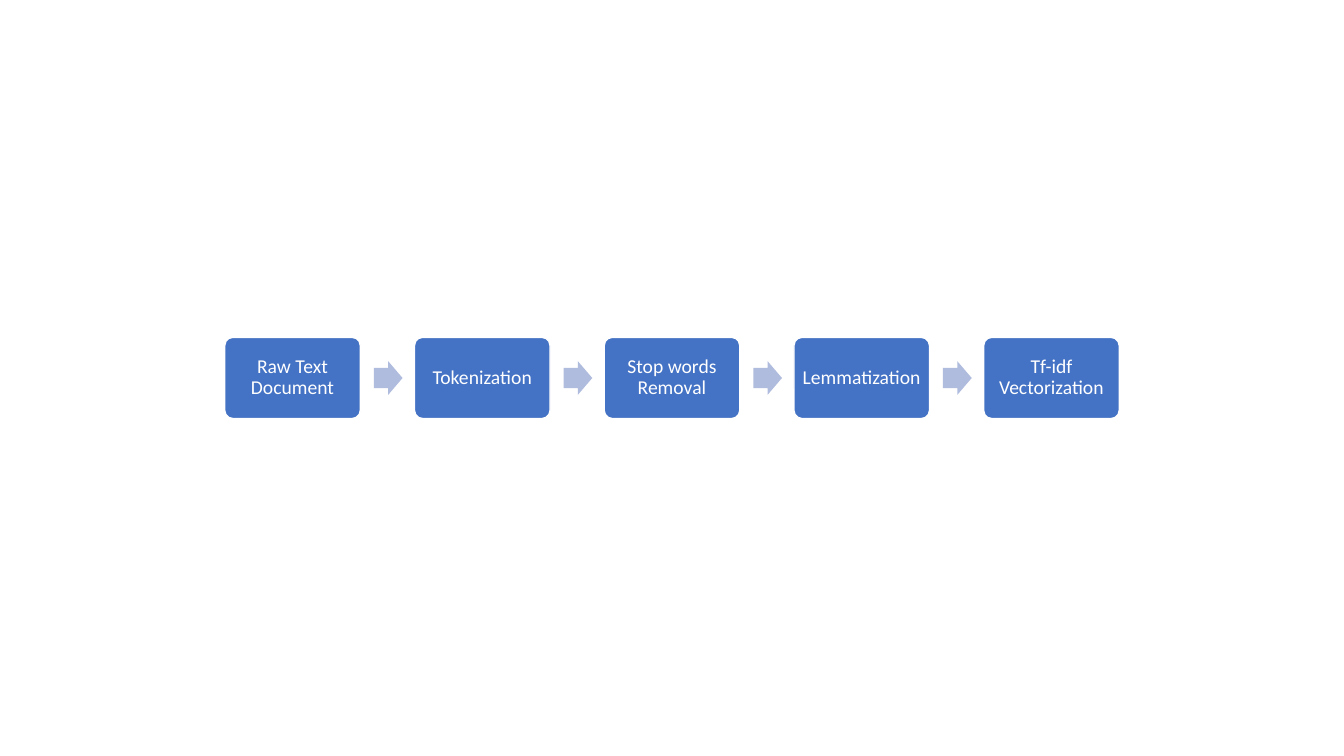
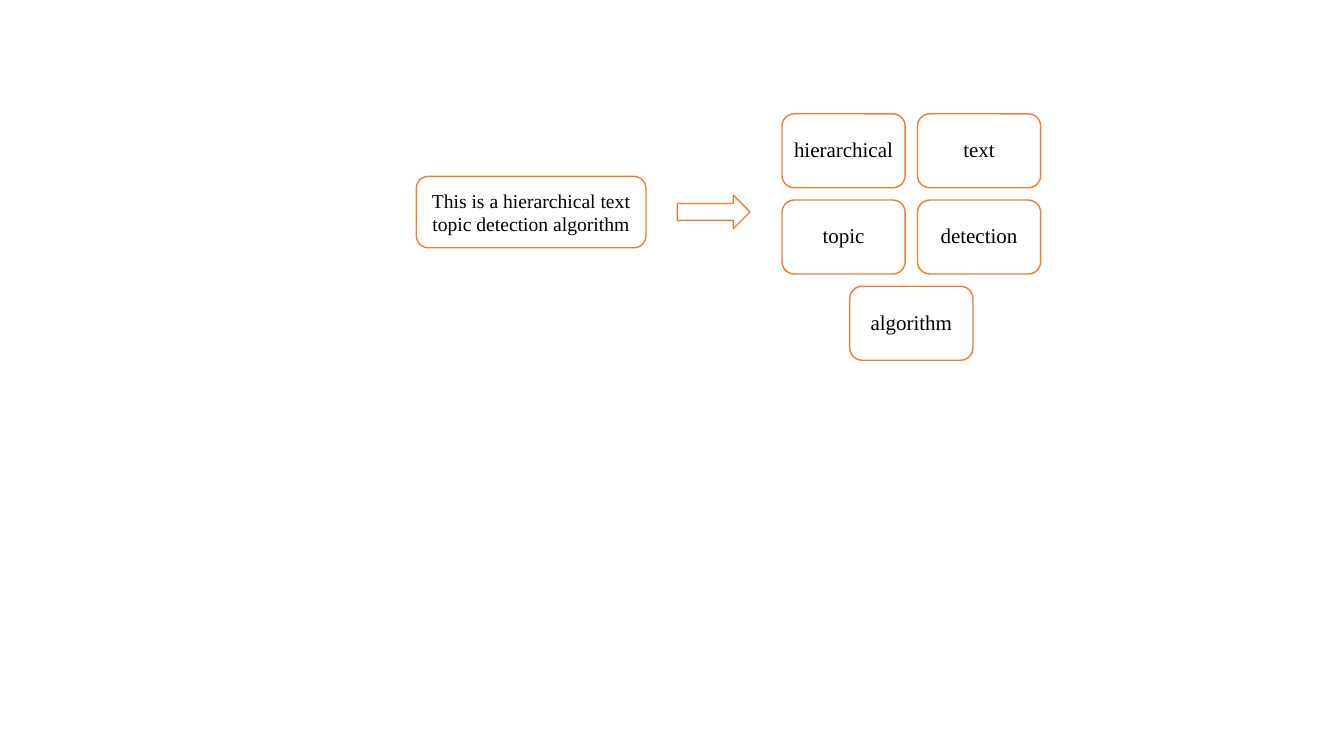
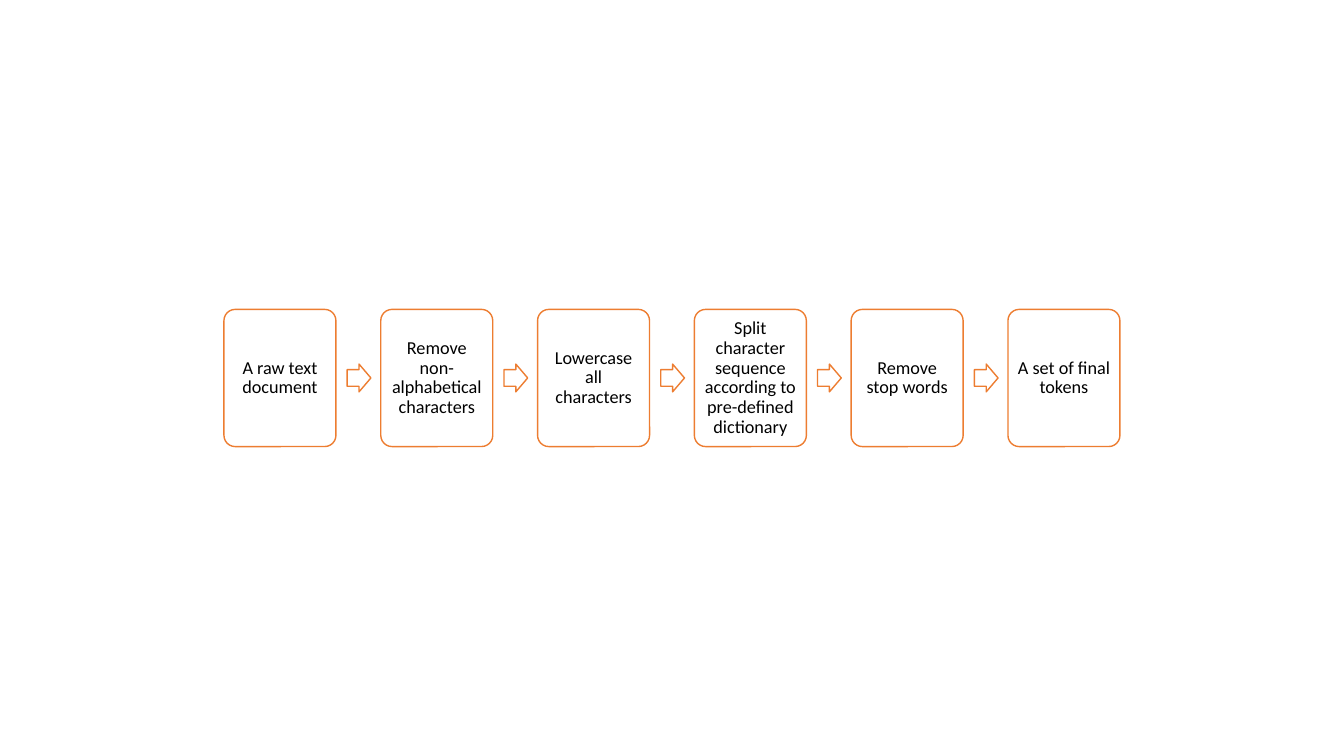
from pptx import Presentation
from pptx.dml.color import RGBColor
from pptx.enum.shapes import MSO_SHAPE as Shape
from pptx.enum.text import MSO_ANCHOR as Anchor, PP_ALIGN as Align
from pptx.util import Pt

WHITE = RGBColor(0xFF, 0xFF, 0xFF)
BLACK = RGBColor(0x00, 0x00, 0x00)
BLUE = RGBColor(0x44, 0x72, 0xC4)
PALE_BLUE = RGBColor(0xB0, 0xBC, 0xDE)
ORANGE = RGBColor(0xED, 0x7D, 0x31)

SLIDE_WIDTH, SLIDE_HEIGHT = 960, 540
GAP_RATIO = 0.1
STEP_RATIO = 1.4
ARROW_RATIOS = 0.212, 0.248

SOLID = {"fill": BLUE, "line": WHITE, "ink": WHITE,
         "arrow_fill": PALE_BLUE, "arrow_line": None}
OUTLINE = {"fill": WHITE, "line": ORANGE, "ink": BLACK,
           "arrow_fill": WHITE, "arrow_line": ORANGE}

PIPELINE = ["Raw Text Document", "Tokenization", "Stop words Removal",
            "Lemmatization", "Tf-idf Vectorization"]
SENTENCE = "This is a hierarchical text topic detection algorithm"
TOKEN_ROWS = [["hierarchical", "text"], ["topic", "detection"], ["algorithm"]]
TOKENIZING = ["A raw text document", "Remove non-alphabetical characters",
              "Lowercase all characters",
              "Split character sequence according to pre-defined dictionary",
              "Remove stop words", "A set of final tokens"]


class Deck:
    """Builds process diagrams on blank slides, with all lengths in points."""

    def __init__(self):
        self.presentation = Presentation()
        self.presentation.slide_width = Pt(SLIDE_WIDTH)
        self.presentation.slide_height = Pt(SLIDE_HEIGHT)

    def start(self, look, font, size):
        blank = self.presentation.slide_layouts[6]
        self.slide = self.presentation.slides.add_slide(blank)
        self.look, self.font, self.size = look, font, size

    def outline(self, kind, bounds, fill, line, adjustments):
        figure = self.slide.shapes.add_shape(kind, *map(Pt, bounds))
        figure.shadow.inherit = False
        figure.fill.solid()
        figure.fill.fore_color.rgb = fill
        if line is None:
            figure.line.fill.background()
        else:
            figure.line.color.rgb = line
            figure.line.width = Pt(1)
        for index, ratio in enumerate(adjustments):
            figure.adjustments[index] = ratio
        return figure

    def box(self, text, bounds, corner=0.1667, insets=(4.2, 4.2),
            spacing=0.9, size=None):
        card = self.outline(Shape.ROUNDED_RECTANGLE, bounds,
                            self.look["fill"], self.look["line"], [corner])
        frame = card.text_frame
        across, down = map(Pt, insets)
        paragraph = frame.paragraphs[0]
        run = paragraph.add_run()
        run.text = text
        run.font.color.rgb = self.look["ink"]
        formats = [
            (frame, {"word_wrap": True, "vertical_anchor": Anchor.MIDDLE,
                     "margin_left": across, "margin_right": across,
                     "margin_top": down, "margin_bottom": down}),
            (paragraph, {"alignment": Align.CENTER, "line_spacing": spacing}),
            (run.font, {"name": self.font, "size": Pt(size or self.size)}),
        ]
        for target, values in formats:
            for name, value in values.items():
                setattr(target, name, value)

    def arrow(self, bounds, shaft=0.5):
        self.outline(Shape.RIGHT_ARROW, bounds, self.look["arrow_fill"],
                     self.look["arrow_line"], [shaft, 0.5])

    def process(self, steps, width, height, inset):
        pitch = width * STEP_RATIO
        left = (SLIDE_WIDTH - pitch * (len(steps) - 1) - width) / 2
        top = (SLIDE_HEIGHT - height) / 2
        arrow_width, arrow_height = (width * ratio for ratio in ARROW_RATIOS)
        arrow_top = (SLIDE_HEIGHT - arrow_height) / 2
        for index, step in enumerate(steps):
            x = left + index * pitch
            self.box(step, (x, top, width, height), 0.1, (inset, inset))
            if index < len(steps) - 1:
                self.arrow((x + width * (1 + GAP_RATIO), arrow_top,
                            arrow_width, arrow_height), 0.6)

    def token_grid(self, rows, center, top, width, height):
        gap = width * GAP_RATIO
        for row_index, row in enumerate(rows):
            left = center - (len(row) * (width + gap) - gap) / 2
            y = top + row_index * (height + gap)
            for column, token in enumerate(row):
                self.box(token, (left + column * (width + gap), y,
                                 width, height))


def main():
    deck = Deck()

    deck.start(SOLID, "Calibri", 14)
    deck.process(PIPELINE, 96.8, 58, 4.2)

    deck.start(OUTLINE, "Times New Roman", 15)
    deck.token_grid(TOKEN_ROWS, 651, 81.3, 88, 52.8)
    deck.arrow((483.8, 139.4, 52, 24))
    deck.box(SENTENCE, (297.4, 126, 164, 51), insets=(7.2, 3.6),
             spacing=1.0, size=14)

    deck.start(OUTLINE, "Calibri", 13)
    deck.process(TOKENIZING, 80, 98, 3.9)

    deck.presentation.save("out.pptx")


if __name__ == "__main__":
    main()
